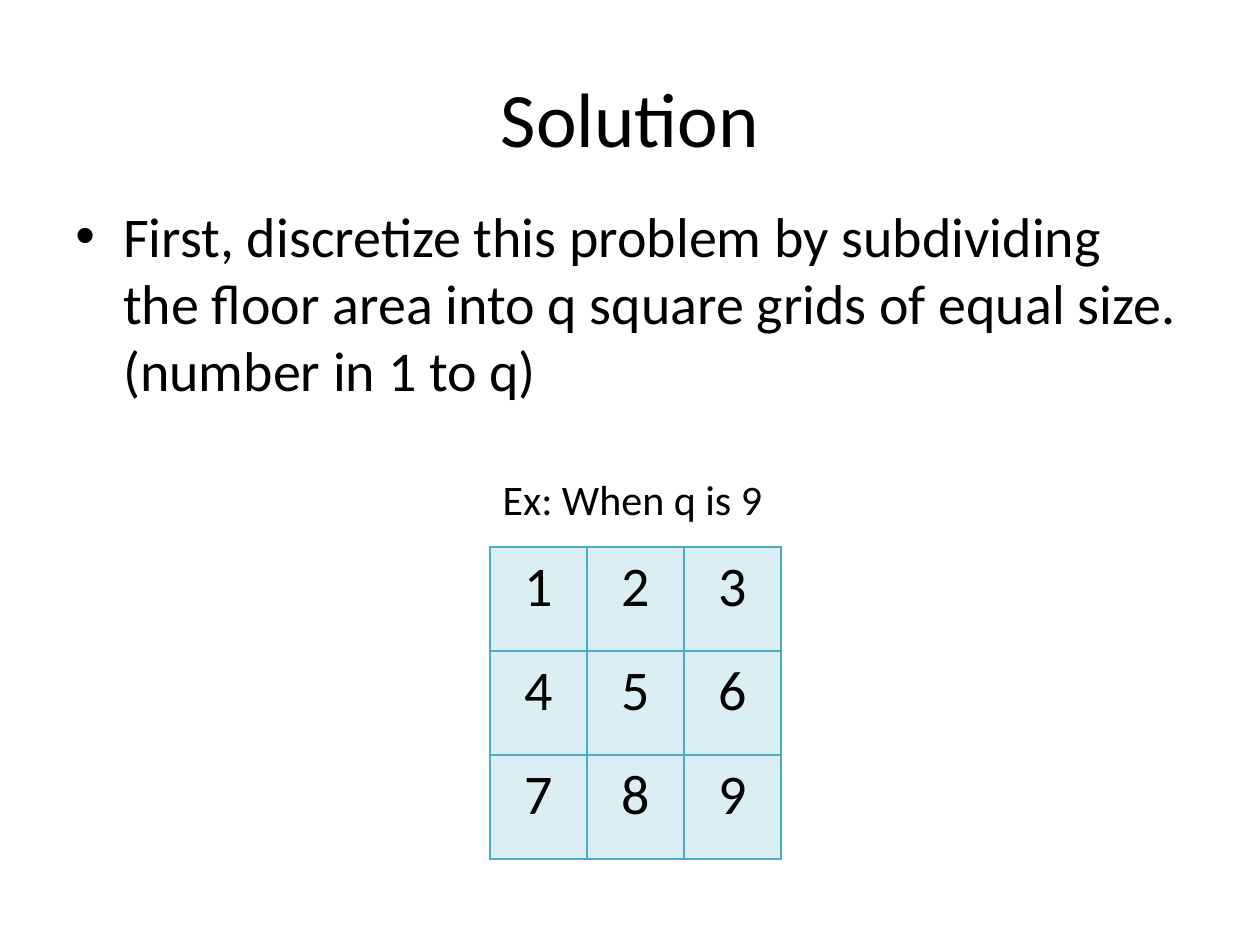
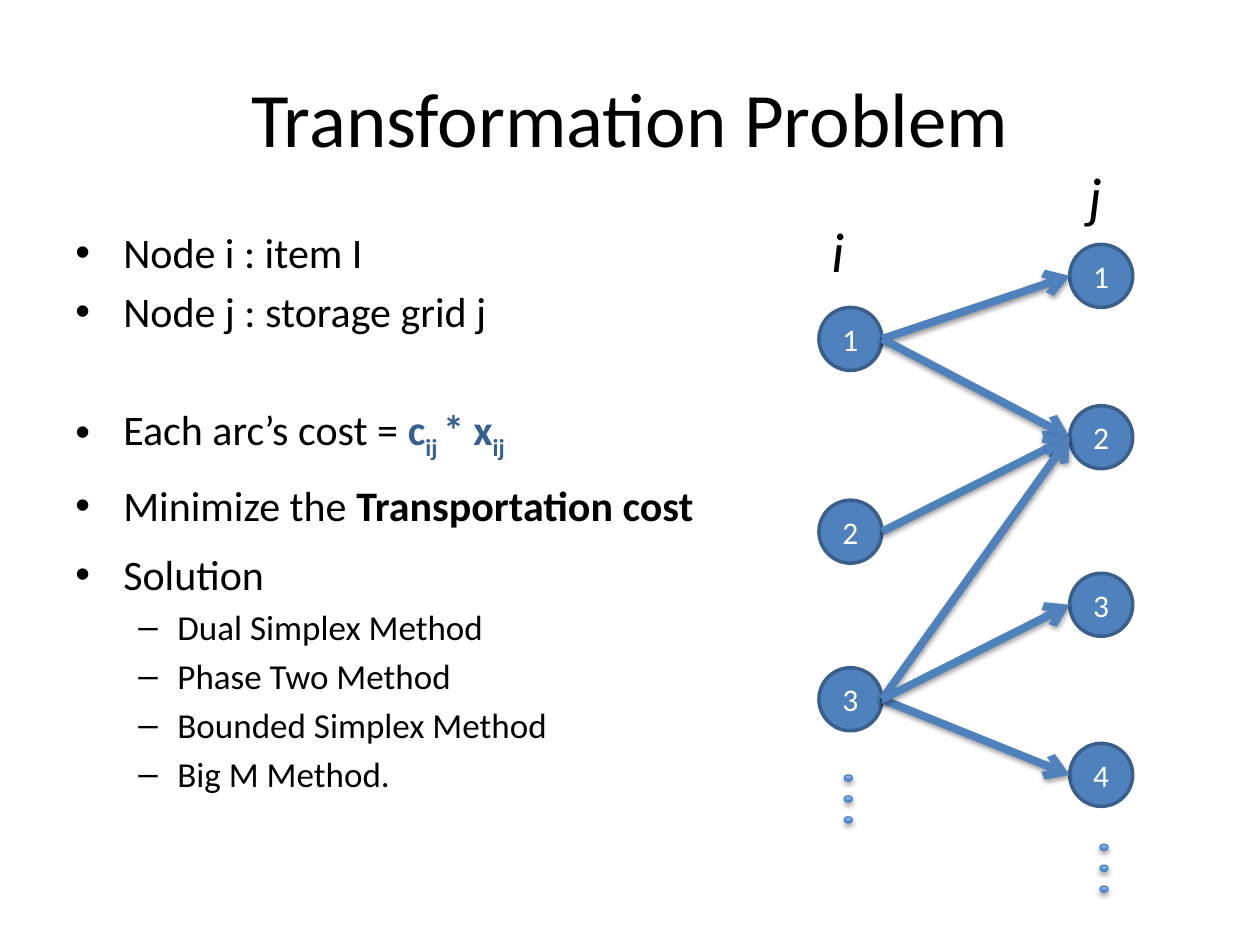
from dataclasses import dataclass

from lxml.etree import SubElement
from pptx import Presentation
from pptx.dml.color import RGBColor
from pptx.enum.shapes import MSO_CONNECTOR, MSO_SHAPE
from pptx.enum.text import MSO_ANCHOR, MSO_AUTO_SIZE, PP_ALIGN
from pptx.oxml.ns import qn
from pptx.util import Inches, Pt

BLACK = RGBColor(0x00, 0x00, 0x00)
WHITE = RGBColor(0xFF, 0xFF, 0xFF)
BLUE = RGBColor(0x4F, 0x81, 0xBD)
NODE_EDGE = RGBColor(0x3A, 0x5F, 0x8C)
FORMULA_BLUE = RGBColor(0x37, 0x60, 0x92)
TABLE_EDGE = RGBColor(0x4B, 0xAC, 0xC6)
TABLE_FILL = RGBColor(0xDB, 0xEE, 0xF4)
DOT_EDGE = RGBColor(0x4B, 0x7E, 0xBC)
DOT_STOPS = (RGBColor(0x3F, 0x80, 0xCE), RGBColor(0xA4, 0xC4, 0xFF))

FONT = "Calibri"
COLUMNS, ROWS = 100, 75
CELL = Inches(0.1)
BULLETS = (("•", 0.38, -0.38), ("–", 0.81, -0.31))
NODE = 5


@dataclass
class Box:
    left: float
    top: float
    width: float
    height: float

    def inner(self, left, top, width, height):
        return Box(self.left + left, self.top + top, width, height)

    def lengths(self):
        return [round(value * CELL) for value in (self.left, self.top, self.width, self.height)]


TITLE = Box(5, 3, 90, 12.5)


def add_run(paragraph, text, size, color=BLACK, baseline=0, **formats):
    run = paragraph.add_run()
    run.text = text
    for name, value in {"name": FONT, "size": Pt(size), **formats}.items():
        setattr(run.font, name, value)
    run.font.color.rgb = color
    if baseline:
        run._r.get_or_add_rPr().set("baseline", str(baseline * 1000))


def add_text(slide, box, wrap=True, anchor=MSO_ANCHOR.TOP):
    shape = slide.shapes.add_textbox(*box.lengths())
    frame = shape.text_frame
    formats = {
        "word_wrap": wrap,
        "vertical_anchor": anchor,
        "auto_size": MSO_AUTO_SIZE.NONE if wrap else MSO_AUTO_SIZE.SHAPE_TO_FIT_TEXT,
    }
    for name, value in formats.items():
        setattr(frame, name, value)
    return frame


def add_title(slide, text):
    paragraph = add_text(slide, TITLE, anchor=MSO_ANCHOR.MIDDLE).paragraphs[0]
    paragraph.alignment = PP_ALIGN.CENTER
    add_run(paragraph, text, 44)


def add_label(slide, box, text, size, **formats):
    paragraph = add_text(slide, box, wrap=False).paragraphs[0]
    add_run(paragraph, text, size, **formats)


def add_bullet(paragraph, level):
    mark, margin, indent = BULLETS[level]
    paragraph.level = level
    properties = paragraph._p.get_or_add_pPr()
    properties.set("marL", str(Inches(margin)))
    properties.set("indent", str(Inches(indent)))
    SubElement(properties, qn("a:buFont")).set("typeface", "Arial")
    SubElement(properties, qn("a:buChar")).set("char", mark)


def add_bullets(slide, box, items):
    frame = add_text(slide, box)
    for index, (level, size, runs, formats) in enumerate(items):
        paragraph = frame.add_paragraph() if index else frame.paragraphs[0]
        add_bullet(paragraph, level)
        before = Pt(0.2 * size) if index else Pt(0)
        for name, value in {"space_before": before, **formats}.items():
            setattr(paragraph, name, value)
        for text, run_formats in runs:
            for number, line in enumerate(text.split("\n")):
                if number:
                    paragraph.add_line_break()
                add_run(paragraph, line, size, **run_formats)


def add_border(cell):
    properties = cell._tc.get_or_add_tcPr()
    for side in ("lnL", "lnR", "lnT", "lnB"):
        line = SubElement(properties, qn(f"a:{side}"), w=str(Pt(1)))
        fill = SubElement(line, qn("a:solidFill"))
        SubElement(fill, qn("a:srgbClr"), val=str(TABLE_EDGE))


def add_floor_grid(slide, box, side):
    table = slide.shapes.add_table(side, side, *box.lengths()).table
    for name in ("first_row", "horz_banding"):
        setattr(table, name, False)
    for number, cell in enumerate(table.iter_cells(), 1):
        add_border(cell)
        cell.fill.solid()
        cell.fill.fore_color.rgb = TABLE_FILL
        paragraph = cell.text_frame.paragraphs[0]
        paragraph.alignment = PP_ALIGN.CENTER
        add_run(paragraph, str(number), 32)


def add_shadow(shape, opacity, distance):
    properties = shape._element.spPr
    effects = properties.find(qn("a:effectLst"))
    if effects is None:
        effects = SubElement(properties, qn("a:effectLst"))
    shadow = SubElement(effects, qn("a:outerShdw"), blurRad=str(Pt(3.1)),
                        dist=str(Pt(distance)), dir="5400000", rotWithShape="0")
    color = SubElement(shadow, qn("a:srgbClr"), val=str(BLACK))
    SubElement(color, qn("a:alpha"), val=str(opacity * 1000))


def add_ellipse(shapes, box, edge, weight):
    shape = shapes.add_shape(MSO_SHAPE.OVAL, *box.lengths())
    shape.shadow.inherit = False
    shape.line.color.rgb = edge
    shape.line.width = Pt(weight)
    return shape


def add_node(slide, box, number):
    node = add_ellipse(slide.shapes, box, NODE_EDGE, 2)
    node.fill.solid()
    node.fill.fore_color.rgb = BLUE
    node.text_frame.vertical_anchor = MSO_ANCHOR.MIDDLE
    paragraph = node.text_frame.paragraphs[0]
    paragraph.alignment = PP_ALIGN.CENTER
    add_run(paragraph, str(number), 18, WHITE)
    return node


def add_arc(slide, item, grid):
    arc = slide.shapes.add_connector(
        MSO_CONNECTOR.STRAIGHT,
        item.left + item.width, item.top + item.height // 2,
        grid.left, grid.top + grid.height // 2)
    arc.line.color.rgb = BLUE
    arc.line.width = Pt(4.5)
    line = arc._element.spPr.find(qn("a:ln"))
    SubElement(line, qn("a:tailEnd"), type="arrow")
    add_shadow(arc, 38, 1.6)


def add_dots(slide, box):
    group = slide.shapes.add_group_shape()
    for row in range(3):
        dot = add_ellipse(group.shapes, box.inner(0, row * 1.66, 0.64, 0.5), DOT_EDGE, 0.75)
        dot.fill.gradient()
        dot.fill.gradient_angle = 90
        for stop, color in zip(dot.fill.gradient_stops, DOT_STOPS):
            stop.color.rgb = color
        add_shadow(dot, 35, 1.8)


def add_assignment_graph(slide, box):
    grid_left = 19.9
    items = [add_node(slide, box.inner(0, top, NODE, NODE), number)
             for number, top in enumerate((12.1, 27.4, 40.7), 1)]
    grids = [add_node(slide, box.inner(grid_left, top, NODE, NODE), number)
             for number, top in enumerate((7.1, 19.9, 33.2, 46.7), 1)]
    for item, grid in ((1, 1), (1, 2), (2, 2), (3, 2), (3, 4), (3, 3)):
        add_arc(slide, items[item - 1], grids[grid - 1])
    add_label(slide, box.inner(0, 4.4, 4.4, 6.4), "i", 32, italic=True)
    add_label(slide, box.inner(20.4, 0, 4.6, 6.4), "j", 32, italic=True)
    add_dots(slide, box.inner(2, 49.2, 1, 4))
    add_dots(slide, box.inner(22.3, 54.7, 1, 4))


def add_solution_slide(slide, box):
    add_title(slide, "Solution")
    text = ("First, discretize this problem by subdividing the floor area "
            "into q square grids of equal size.\n(number in 1 to q)")
    add_bullets(slide, box.inner(5, 15.5, 90, 20.2), [(0, 32, [(text, {})], {})])
    add_floor_grid(slide, box.inner(38.9, 43.4, 23.1, 24.8), 3)
    add_label(slide, box.inner(38.9, 37.1, 22.8, 5), "Ex: When q is 9", 24)


def add_transformation_slide(slide, box):
    add_title(slide, "Transformation Problem")
    formula = {"color": FORMULA_BLUE, "bold": True}
    subscript = {**formula, "baseline": -25}
    cost = [("Each arc’s cost = ", {}), ("c", formula), ("ij ", subscript),
            ("* x", formula), ("ij", subscript)]
    goal = [("Minimize the ", {}), ("Transportation cost", {"bold": True})]
    loose = {"line_spacing": 1.2}
    methods = ("Dual Simplex Method", "Phase Two Method", "Bounded Simplex Method", "Big M Method.")
    items = [
        (0, 24, [("Node i : item I", {})], {}),
        (0, 24, [("Node j : storage grid j", {})], {}),
        (0, 24, cost, {"space_before": Pt(38.8)}),
        (0, 24, goal, loose),
        (0, 24, [("Solution", {})], loose),
    ]
    items += [(1, 20, [(method, {})], {}) for method in methods]
    add_bullets(slide, box.inner(5, 17.5, 51.9, 53.3), items)
    add_assignment_graph(slide, box.inner(65, 12.3, 25, 60))


def main():
    presentation = Presentation()
    presentation.slide_width = COLUMNS * CELL
    presentation.slide_height = ROWS * CELL
    page = Box(0, 0, COLUMNS, ROWS)
    for build in (add_solution_slide, add_transformation_slide):
        build(presentation.slides.add_slide(presentation.slide_layouts[6]), page)
    presentation.save("out.pptx")


if __name__ == "__main__":
    main()
